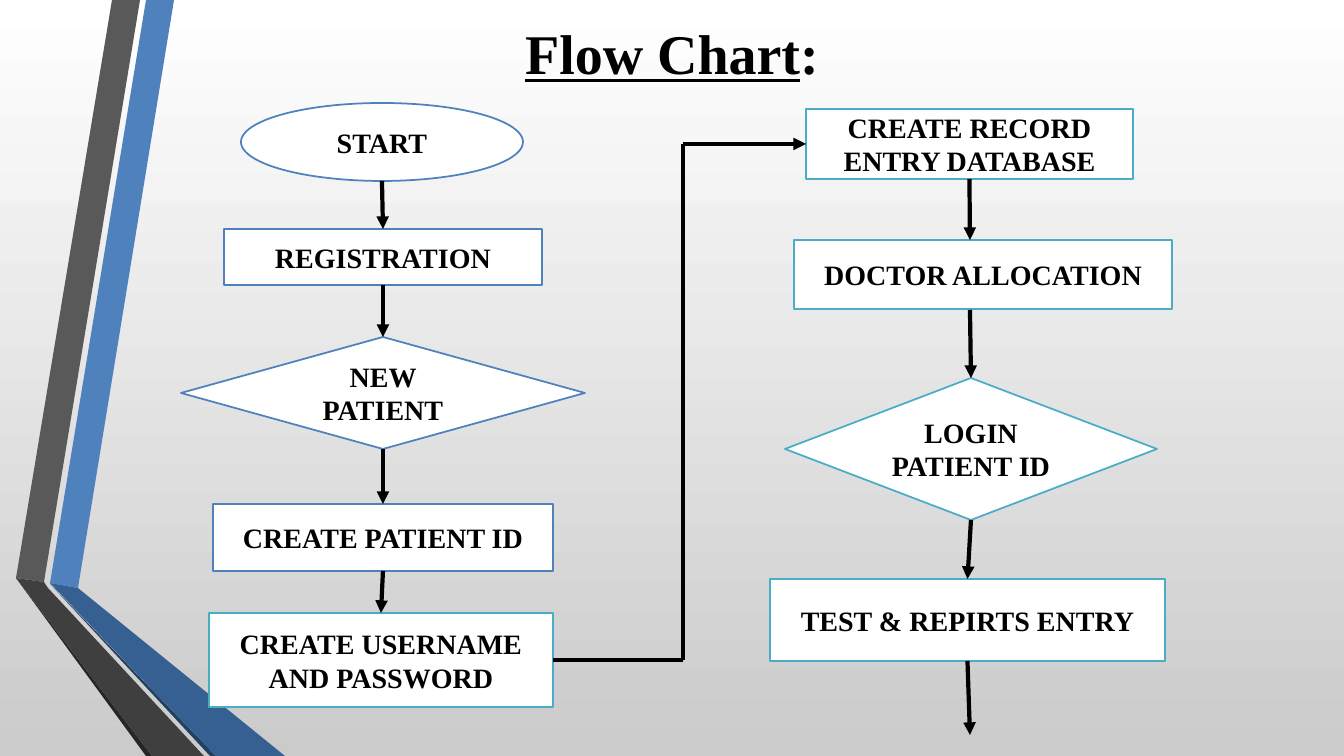
from lxml import etree
from pptx import Presentation
from pptx.dml.color import RGBColor
from pptx.enum import shapes, text
from pptx.oxml.ns import qn
from pptx.util import Pt

PX = 12192000 / 1344  # EMU in one px
WIDE, HIGH = 1344, 756
BLACK = RGBColor(0x00, 0x00, 0x00)
WHITE = RGBColor(0xFF, 0xFF, 0xFF)
SILVER = RGBColor(0xCB, 0xCB, 0xCB)
BLUE = RGBColor(0x4F, 0x81, 0xBD)
TEAL = RGBColor(0x4B, 0xAC, 0xC6)
NAVY = RGBColor(0x24, 0x40, 0x61)
STEEL = RGBColor(0x36, 0x60, 0x92)
GREY = RGBColor(0x59, 0x59, 0x59)
COAL = RGBColor(0x3F, 0x3F, 0x3F)
INK = RGBColor(0x26, 0x26, 0x26)

RECT = shapes.MSO_SHAPE.RECTANGLE
OVAL = shapes.MSO_SHAPE.OVAL
GEM = shapes.MSO_SHAPE.DIAMOND
TOP, LEFT, BOTTOM, RIGHT = range(4)

BANDS = [
    (BLUE, [(50, 583), (78, 588), (174, 0), (146, 0)]),
    (GREY, [(140, 0), (112, 0), (16, 578), (44, 582)]),
    (INK, [(16, 578), (146, 756), (152, 756)]),
    (NAVY, [(50, 584), (210, 756), (216, 756)]),
    (STEEL, [(50, 583), (216, 756), (285, 756), (78, 588)]),
    (COAL, [(204, 756), (48, 588), (44, 582), (16, 578), (152, 756)]),
]
STEPS = {
    "START": (OVAL, BLUE, 241, 103, 282, 78),
    "REGISTRATION": (RECT, BLUE, 224, 229, 318, 56),
    "NEW PATIENT": (GEM, BLUE, 181, 337, 404, 112),
    "CREATE PATIENT ID": (RECT, BLUE, 213, 504, 340, 67),
    "CREATE USERNAME AND PASSWORD": (RECT, TEAL, 209, 613, 344, 94),
    "CREATE RECORD ENTRY DATABASE": (RECT, TEAL, 806, 109, 327, 70),
    "DOCTOR ALLOCATION": (RECT, TEAL, 794, 240, 378, 69),
    "LOGIN PATIENT ID": (GEM, TEAL, 785, 378, 372, 142),
    "TEST & REPIRTS ENTRY": (RECT, TEAL, 770, 579, 395, 82),
}


def emu(*sizes):
    return [round(size * PX) for size in sizes]


class Chart:
    def __init__(self, deck):
        self.slide = deck.slides.add_slide(deck.slide_layouts[5])
        self.items = self.slide.shapes
        self.font = {"name": "Times New Roman", "bold": True}

    def back(self, *tones):
        fill = self.slide.background.fill
        fill.gradient()
        fill.gradient_angle = 270
        for spot, (stop, tone) in enumerate(zip(fill.gradient_stops, tones)):
            stop.position = spot
            stop.color.rgb = tone

    def label(self, para, words, **extra):
        run = para.add_run()
        run.text = words
        for key, value in {**self.font, **extra}.items():
            setattr(run.font, key, value)
        run.font.color.rgb = BLACK

    def frame(self, item):
        """Centre the text of an item and return its first paragraph."""
        item.text_frame.word_wrap = True
        item.text_frame.vertical_anchor = text.MSO_ANCHOR.MIDDLE
        para = item.text_frame.paragraphs[0]
        para.alignment = text.PP_ALIGN.CENTER
        return para

    def title(self, *area):
        item = self.items.title
        item.left, item.top, item.width, item.height = emu(*area)
        para = self.frame(item)
        self.label(para, "Flow Chart", size=Pt(40), underline=True)
        self.label(para, ":", size=Pt(40), underline=False)

    def band(self, tone, spots):
        form = self.items.build_freeform(*spots[0], scale=PX)
        form.add_line_segments(spots[1:], close=True)
        item = form.convert_to_shape()
        item.shadow.inherit = False
        item.fill.solid()
        item.fill.fore_color.rgb = tone
        item.line.fill.background()

    def step(self, words, kind, tone, *area):
        item = self.items.add_shape(kind, *emu(*area))
        item.shadow.inherit = False
        item.fill.solid()
        item.fill.fore_color.rgb = WHITE
        item.line.color.rgb = tone
        item.line.width = Pt(1.25)
        self.label(self.frame(item), words, size=Pt(20))
        return item

    def link(self, *ends, out=None, into=None, tip=True):
        """Draw a line; out and into are (step, side) pairs to join."""
        line = self.items.add_connector(shapes.MSO_CONNECTOR.STRAIGHT, *emu(*ends))
        line.line.color.rgb = BLACK
        line.line.width = Pt(3)
        if out:
            line.begin_connect(*out)
        if into:
            line.end_connect(*into)
        props = line._element.spPr
        if tip:
            etree.SubElement(props.find(qn("a:ln")), qn("a:tailEnd"), type="triangle")
        etree.SubElement(props, qn("a:effectLst"))


def main():
    deck = Presentation()
    deck.slide_width, deck.slide_height = emu(WIDE, HIGH)
    chart = Chart(deck)
    chart.back(WHITE, SILVER)
    for tone, spots in BANDS:
        chart.band(tone, spots)
    chart.title(291, 0, 762, 104)

    steps = [chart.step(words, *look) for words, look in STEPS.items()]
    start, reg, new, ident, user, record, doctor, login, test = steps

    chart.link(382, 181, 383, 229, into=(reg, TOP))
    for upper, lower in [(reg, new), (new, ident), (ident, user), (login, test)]:
        chart.link(0, 0, 0, 0, out=(upper, BOTTOM), into=(lower, TOP))

    chart.link(553, 660, 683, 660, out=(user, RIGHT), tip=False)
    chart.link(683, 660, 683, 144, tip=False)
    chart.link(683, 144, 806, 144, into=(record, LEFT))

    chart.link(970, 179, 970, 240, out=(record, BOTTOM))
    chart.link(970, 310, 971, 378, into=(login, TOP))
    chart.link(969, 661, 970, 735, out=(test, BOTTOM))
    deck.save("out.pptx")


if __name__ == "__main__":
    main()
